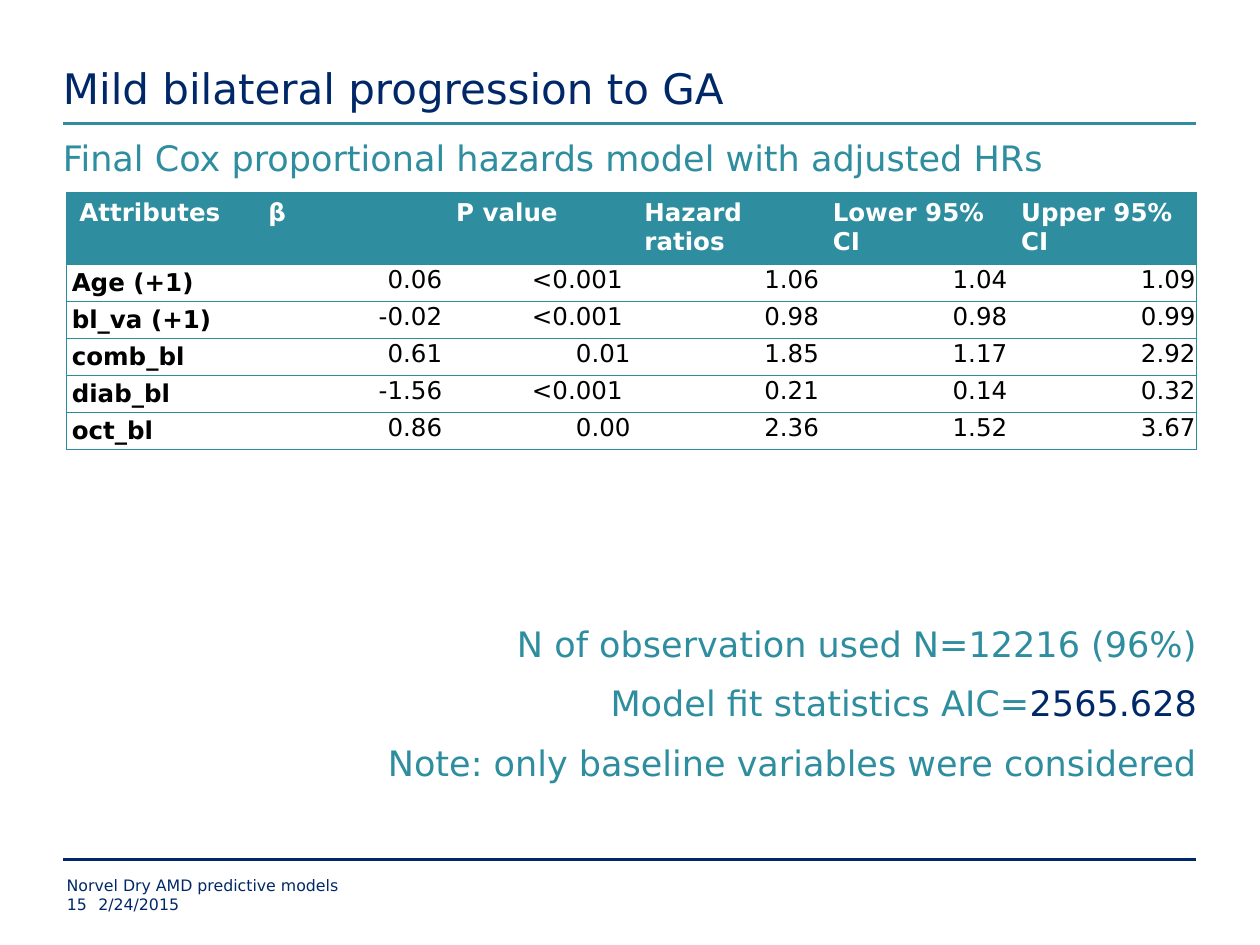
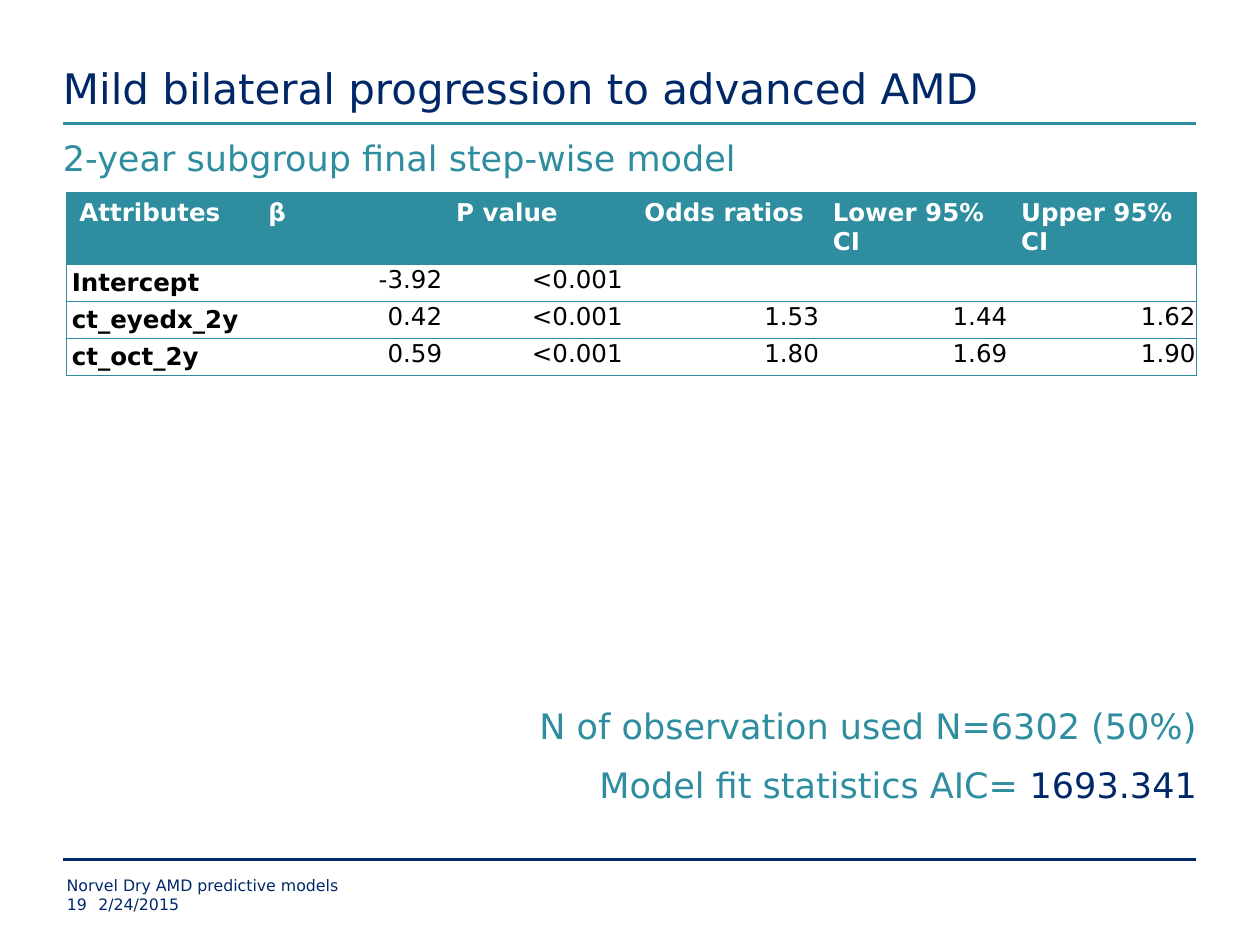
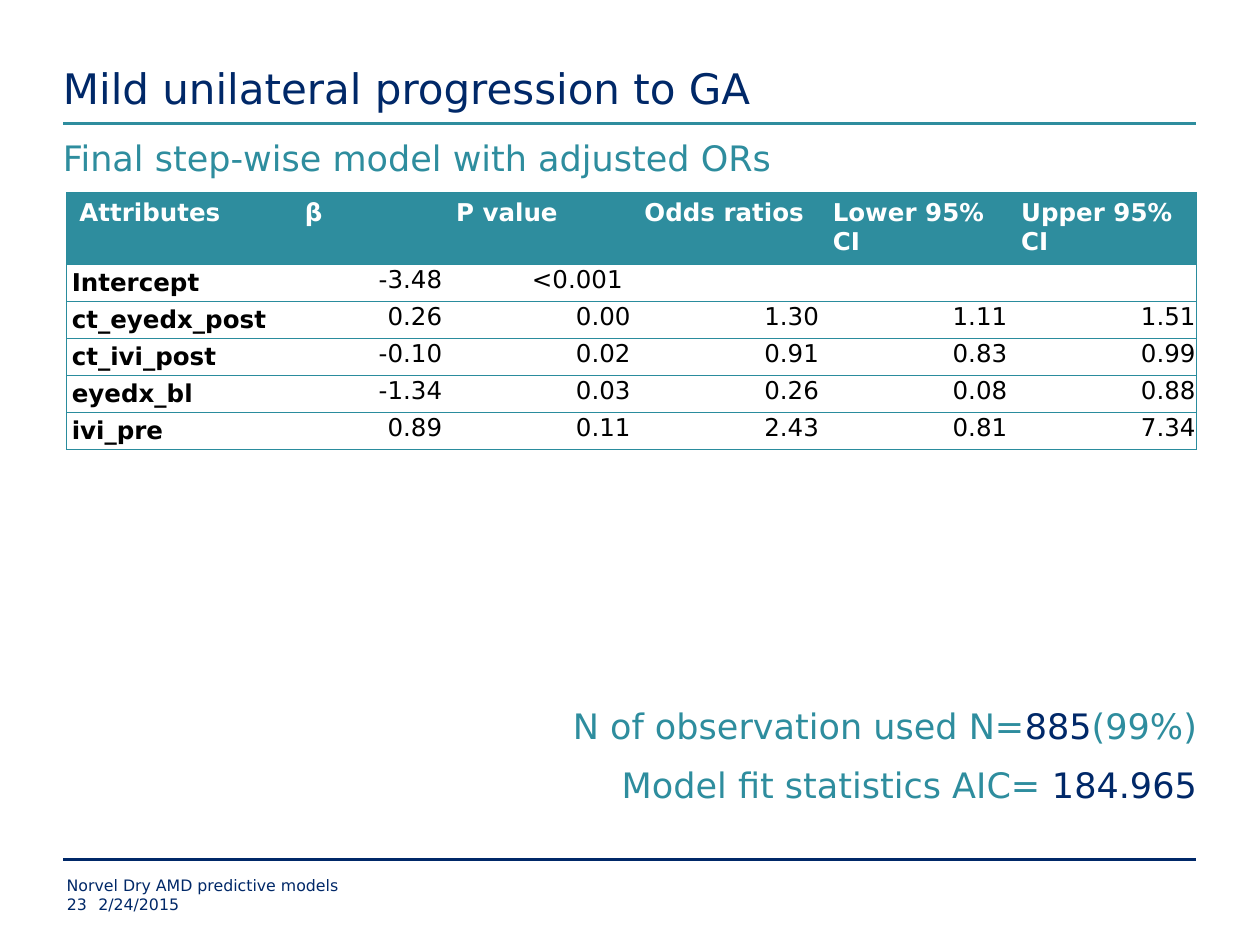
from dataclasses import dataclass

from lxml.etree import SubElement
from pptx import Presentation
from pptx.dml.color import RGBColor
from pptx.enum.shapes import MSO_CONNECTOR
from pptx.enum.text import MSO_ANCHOR, PP_ALIGN
from pptx.oxml.ns import qn
from pptx.util import Inches, Pt


@dataclass(frozen=True)
class Theme:
    font: str = "DejaVu Sans"
    navy: str = "002868"
    teal: str = "2E8D9E"
    border: str = "2A8C9D"
    white: str = "FFFFFF"
    black: str = "000000"
    title: int = 24
    body: int = 20
    table: int = 14
    footer: int = 9
    note_gap: int = 10
    title_rule: float = 1.25
    footer_rule: float = 1.5


T = Theme()
WIDTH, HEIGHT = 10, 7.5
LEFT, RIGHT = 0.5, 9.49
BODY_WIDTH = WIDTH - 2 * LEFT
FOOT_LEFT, FOOT_TOP, FOOT_LINE = 0.53, 6.95, 0.15
TABLE_LEFT, TABLE_TOP, TABLE_WIDTH = 0.53, 1.53, 8.97
HEAD_HEIGHT, ROW_HEIGHT = Inches(0.55), Pt(21.2)
NO_STYLE = "{2D5ABB26-0587-4C30-8999-92F81FD0307C}"

FOOTER = "Norvel Dry AMD predictive models"
DATE = "2/24/2015"

SLIDES = [
    {
        "number": "15",
        "title": "Mild bilateral progression to GA",
        "subtitle": "Final Cox proportional hazards model with adjusted HRs",
        "ratio": "Hazard ratios",
        "first_col": 1.5,
        "rows": [
            ("Age (+1)", "0.06", "<0.001 ", "1.06", "1.04", "1.09"),
            ("bl_va (+1)", "-0.02", "<0.001 ", "0.98", "0.98", "0.99"),
            ("comb_bl", "0.61", "0.01", "1.85", "1.17", "2.92"),
            ("diab_bl", "-1.56", "<0.001 ", "0.21", "0.14", "0.32"),
            ("oct_bl", "0.86", "0.00", "2.36", "1.52", "3.67"),
        ],
        "notes_top": 4.94,
        "notes": [
            [("N of observation used N=12216 (96%)", T.teal)],
            [("Model fit statistics AIC=", T.teal), ("2565.628", T.navy)],
            [("Note: only baseline variables were considered", T.teal)],
        ],
    },
    {
        "number": "19",
        "title": "Mild bilateral progression to advanced AMD",
        "subtitle": "2-year subgroup final step-wise model",
        "ratio": "Odds ratios",
        "first_col": 1.5,
        "rows": [
            ("Intercept", "-3.92", "<0.001 ", "", "", ""),
            ("ct_eyedx_2y", "0.42", "<0.001 ", "1.53", "1.44", "1.62"),
            ("ct_oct_2y", "0.59", "<0.001 ", "1.80", "1.69", "1.90"),
        ],
        "notes_top": 5.59,
        "notes": [
            [("N of observation used N=6302 (50%)", T.teal)],
            [("Model fit statistics AIC=", T.teal), (" 1693.341", T.navy)],
        ],
    },
    {
        "number": "23",
        "title": "Mild unilateral progression to GA",
        "subtitle": "Final step-wise model with adjusted ORs",
        "ratio": "Odds ratios",
        "first_col": 1.79,
        "rows": [
            ("Intercept", "-3.48", "<0.001 ", "", "", ""),
            ("ct_eyedx_post", "0.26", "0.00", "1.30", "1.11", "1.51"),
            ("ct_ivi_post", "-0.10", "0.02", "0.91", "0.83", "0.99"),
            ("eyedx_bl", "-1.34", "0.03", "0.26", "0.08", "0.88"),
            ("ivi_pre", "0.89", "0.11", "2.43", "0.81", "7.34"),
        ],
        "notes_top": 5.59,
        "notes": [
            [("N of observation used N=", T.teal), ("885", T.navy), ("(99%)", T.teal)],
            [("Model fit statistics AIC=", T.teal), (" 184.965", T.navy)],
        ],
    },
]


def style(font, size, color, bold=False):
    font.name, font.size, font.bold = T.font, Pt(size), bold
    font.color.rgb = RGBColor.from_string(color)


def add_text(s, left, top, width, height, paragraphs, size,
             align=PP_ALIGN.LEFT, anchor=MSO_ANCHOR.TOP):
    sp = s.shapes.add_textbox(*map(Inches, (left, top, width, height)))
    tf = sp.text_frame
    tf.word_wrap = True
    tf.vertical_anchor = anchor
    tf.margin_left = tf.margin_right = tf.margin_top = tf.margin_bottom = 0
    for i, runs in enumerate(paragraphs):
        p = tf.add_paragraph() if i else tf.paragraphs[0]
        p.alignment = align
        if i:
            p.space_before = Pt(T.note_gap)
        style(p.font, size, runs[0][1])
        for text, color in runs:
            r = p.add_run()
            r.text = text
            if color != runs[0][1]:
                r.font.color.rgb = RGBColor.from_string(color)


def add_rule(s, y, color, weight):
    sp = s.shapes.add_connector(
        MSO_CONNECTOR.STRAIGHT, Inches(LEFT), Inches(y), Inches(RIGHT), Inches(y))
    sp.line.color.rgb = RGBColor.from_string(color)
    sp.line.width = Pt(weight)
    SubElement(sp.element.spPr, qn("a:effectLst"))


def set_borders(cell, sides):
    tc_pr = cell._tc.get_or_add_tcPr()
    for i, side in enumerate(sides):
        ln = SubElement(tc_pr, qn(f"a:{side}"), w=str(Pt(0.75)))
        fill = SubElement(ln, qn("a:solidFill"))
        SubElement(fill, qn("a:srgbClr"), val=T.border)
        tc_pr.insert(i, ln)


def fill_cell(cell, text, is_head, is_label):
    p = cell.text_frame.paragraphs[0]
    style(p.font, T.table, T.white if is_head else T.black, is_head or is_label)
    if text:
        p.add_run().text = text
    else:
        SubElement(p._p, qn("a:endParaRPr"), sz=str(T.table * 100))
    if is_head:
        cell.fill.solid()
        cell.fill.fore_color.rgb = RGBColor.from_string(T.teal)
        return
    cell.fill.background()
    side, top = (0.04, 0) if is_label else (0.01, 0.01)
    cell.margin_left = cell.margin_right = Inches(side)
    cell.margin_top, cell.margin_bottom = Inches(top), 0
    if is_label:
        p.line_spacing = 1.15
    else:
        p.alignment = PP_ALIGN.RIGHT


def add_model_table(s, ratio, first_col, rows):
    head = ("Attributes", "β", "P value", ratio, "Lower 95% CI", "Upper 95% CI")
    grid = [head, *rows]
    heights = [HEAD_HEIGHT] + [ROW_HEIGHT] * len(rows)
    col = TABLE_WIDTH / len(head)
    widths = [first_col, 2 * col - first_col] + [col] * (len(head) - 2)
    frame = s.shapes.add_table(len(grid), len(head), Inches(TABLE_LEFT),
                               Inches(TABLE_TOP), Inches(TABLE_WIDTH), sum(heights))
    table = frame.table
    table.horz_banding = False
    table._tbl.tblPr.find(qn("a:tableStyleId")).text = NO_STYLE
    for column, width in zip(table.columns, widths):
        column.width = Inches(width)
    for i, (row, height) in enumerate(zip(grid, heights)):
        table.rows[i].height = height
        for j, text in enumerate(row):
            cell = table.cell(i, j)
            fill_cell(cell, text, i == 0, j == 0)
            outer = ["lnL"] * (j == 0) + ["lnR"] * (j == len(head) - 1)
            set_borders(cell, outer + ["lnT", "lnB"])


def add_frame(s, title, number):
    add_rule(s, 0.98, T.teal, T.title_rule)
    add_rule(s, 6.82, T.navy, T.footer_rule)
    add_text(s, LEFT, 0, BODY_WIDTH, 0.9, [[(title, T.navy)]], T.title,
             anchor=MSO_ANCHOR.BOTTOM)
    second = FOOT_TOP + FOOT_LINE
    for text, left, top, width in (
        (DATE, FOOT_LEFT + 0.25, second, 7.25),
        (FOOTER, FOOT_LEFT, FOOT_TOP, 7.5),
        (number, FOOT_LEFT, second, 0.25),
    ):
        add_text(s, left, top, width, FOOT_LINE, [[(text, T.navy)]], T.footer)


def main():
    prs = Presentation()
    prs.slide_width, prs.slide_height = Inches(WIDTH), Inches(HEIGHT)
    for data in SLIDES:
        s = prs.slides.add_slide(prs.slide_layouts[6])
        add_frame(s, data["title"], data["number"])
        add_text(s, LEFT, 1.08, BODY_WIDTH, 0.49, [[(data["subtitle"], T.teal)]], T.body)
        add_model_table(s, data["ratio"], data["first_col"], data["rows"])
        top = data["notes_top"]
        add_text(s, LEFT, top, BODY_WIDTH, 6.57 - top, data["notes"], T.body,
                 align=PP_ALIGN.RIGHT)
    prs.save("out.pptx")


if __name__ == "__main__":
    main()
